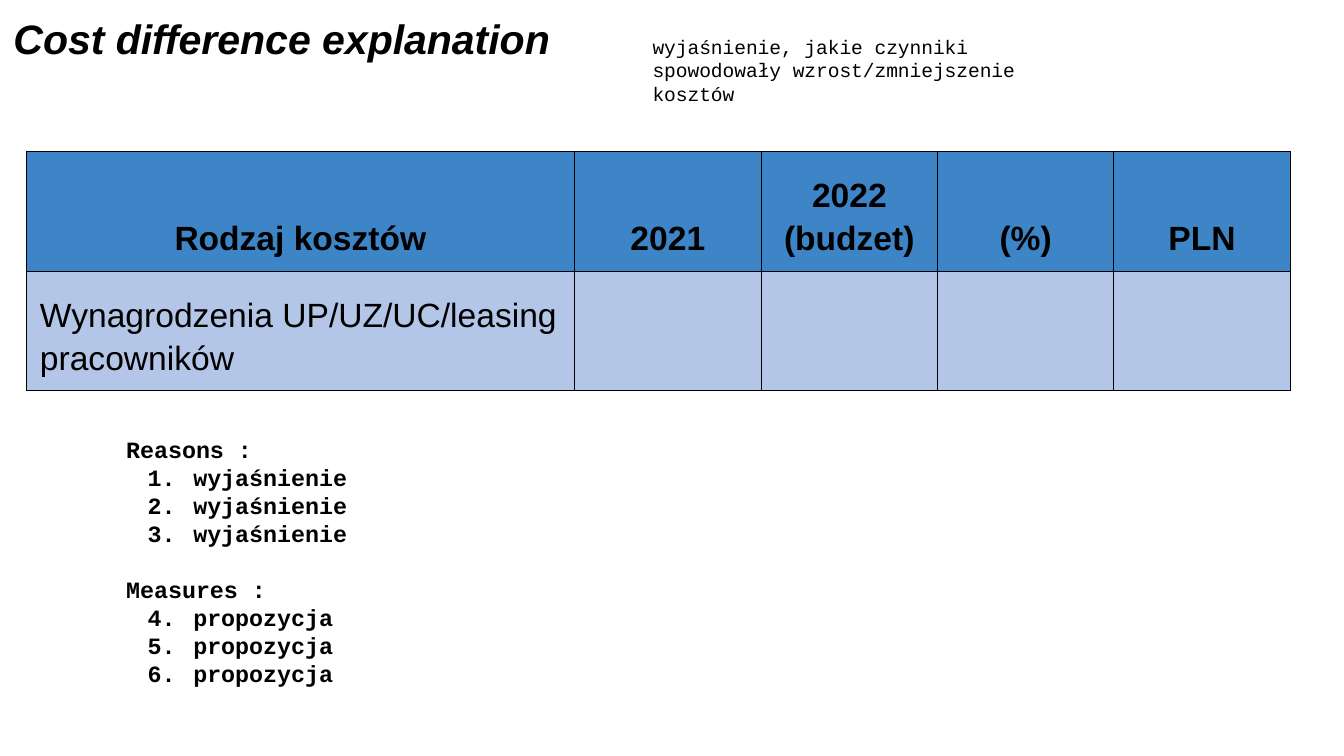
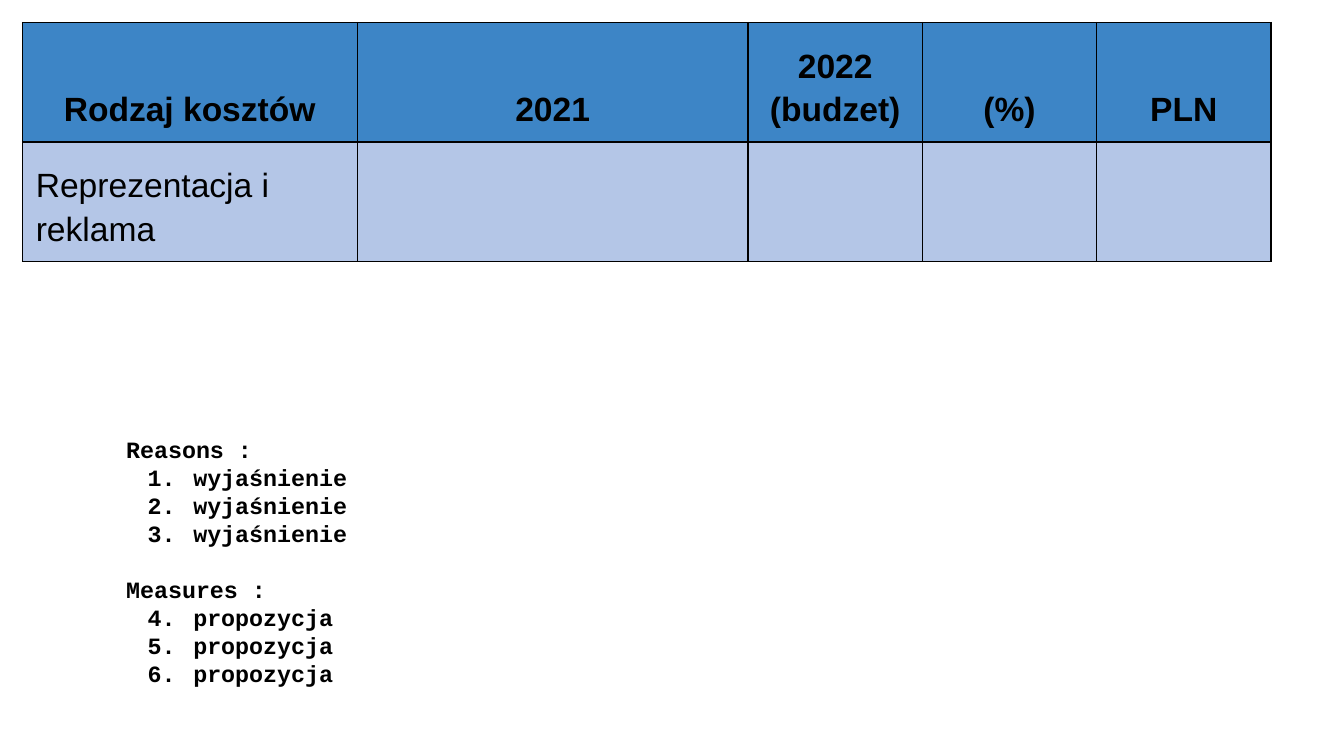
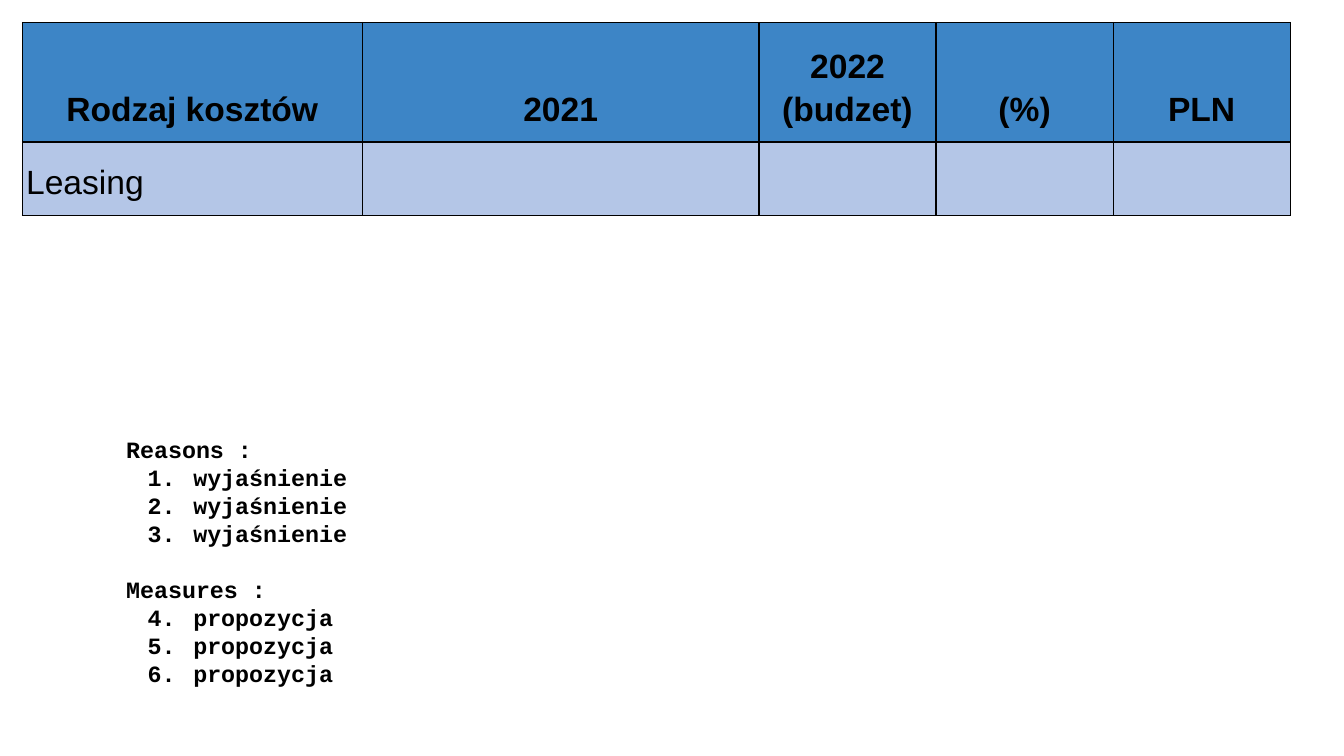
from dataclasses import dataclass

from lxml import etree
from pptx import Presentation
from pptx.dml.color import RGBColor
from pptx.enum import text as t
from pptx.oxml import ns
from pptx.util import Pt


@dataclass(frozen=True)
class Theme:
    ink: str = "000000"
    header_fill: str = "3D85C6"
    body_fill: str = "B4C6E7"
    sans: str = "Arial"
    mono: str = "Courier New"
    title_size: float = 22
    table_size: float = 18
    list_size: float = 12.5
    note_size: float = 10.5
    inset: float = 7.2
    narrow_inset: float = 2
    border: float = 0.75


THEME = Theme()
TITLE_ONLY, BLANK = 5, 6
HEADINGS = ["Rodzaj kosztów", "2021", "2022 (budzet)", "(%)", "PLN"]
HEADER_HEIGHT = 64


def write_text(paragraph, content, *, size, font=THEME.sans, color=THEME.ink,
               bold=False, italic=False, align=t.PP_ALIGN.LEFT,
               spacing=None, before=0):
    paragraph.alignment = align
    paragraph.space_before = Pt(before)
    if spacing:
        paragraph.line_spacing = spacing
    run = paragraph.add_run()
    run.text = content
    run.font.name, run.font.size = font, Pt(size)
    run.font.bold, run.font.italic = bold, italic
    run.font.color.rgb = RGBColor.from_string(color)


def add_xml(parent, tag, **attributes):
    return etree.SubElement(parent, ns.qn(tag), attributes)


def add_solid(parent, tag, color):
    add_xml(add_xml(parent, tag), "a:srgbClr", val=color)


def number_paragraph(paragraph, start):
    props = paragraph._p.get_or_add_pPr()
    props.set("marL", str(Pt(36)))
    props.set("indent", str(Pt(-24.5)))
    add_xml(add_xml(props, "a:buClr"), "a:srgbClr", val=THEME.ink)
    add_xml(props, "a:buAutoNum", type="arabicPeriod", startAt=str(start))


class Deck:
    def __init__(self, theme):
        self.theme = theme
        self.prs = Presentation()
        self.prs.slide_width, self.prs.slide_height = Pt(720), Pt(405)
        self.slide = None

    def new_slide(self, layout):
        self.slide = self.prs.slides.add_slide(self.prs.slide_layouts[layout])

    def fit_frame(self, shape):
        frame = shape.text_frame
        frame.word_wrap = True
        frame.auto_size = t.MSO_AUTO_SIZE.SHAPE_TO_FIT_TEXT
        frame.vertical_anchor = t.MSO_ANCHOR.TOP
        frame.margin_left = frame.margin_right = Pt(self.theme.inset)
        frame.margin_top = frame.margin_bottom = Pt(self.theme.inset)
        return frame

    def text_frame(self, left, top, width, height):
        return self.fit_frame(self.slide.shapes.add_textbox(
            Pt(left), Pt(top), Pt(width), Pt(height)))

    def title(self, content, left, top, width, height):
        heading = self.slide.shapes.title
        heading.left, heading.top = Pt(left), Pt(top)
        heading.width, heading.height = Pt(width), Pt(height)
        write_text(self.fit_frame(heading).paragraphs[0], content,
                   size=self.theme.title_size, bold=True, italic=True)

    def note(self, content, left, top, width, height):
        frame = self.text_frame(left, top, width, height)
        write_text(frame.paragraphs[0], content,
                   size=self.theme.note_size, font=self.theme.mono)

    def style_cell(self, cell, fill, side_inset):
        props = cell._tc.get_or_add_tcPr()
        for side in ("a:lnL", "a:lnR", "a:lnT", "a:lnB"):
            border = add_xml(props, side, w=str(Pt(self.theme.border)))
            add_solid(border, "a:solidFill", self.theme.ink)
        cell.fill.solid()
        cell.fill.fore_color.rgb = RGBColor.from_string(fill)
        cell.vertical_anchor = t.MSO_ANCHOR.BOTTOM
        cell.margin_left = cell.margin_right = Pt(side_inset)
        cell.margin_top = cell.margin_bottom = Pt(self.theme.inset)

    def cost_table(self, cost, left, top, widths, body_height, body_inset):
        heights = [HEADER_HEIGHT, body_height]
        table = self.slide.shapes.add_table(
            len(heights), len(widths), Pt(left), Pt(top),
            Pt(sum(widths)), Pt(sum(heights))).table
        table.first_row = table.horz_banding = False
        for row, height in zip(table.rows, heights):
            row.height = Pt(height)
        for index, width in enumerate(widths):
            table.columns[index].width = Pt(width)
            head, body = table.cell(0, index), table.cell(1, index)
            self.style_cell(head, self.theme.header_fill, self.theme.narrow_inset)
            self.style_cell(body, self.theme.body_fill, body_inset)
            write_text(head.text_frame.paragraphs[0], HEADINGS[index],
                       size=self.theme.table_size, bold=True,
                       align=t.PP_ALIGN.CENTER, spacing=1.15)
        write_text(table.cell(1, 0).text_frame.paragraphs[0], cost,
                   size=self.theme.table_size, spacing=1.15)

    def explanation(self):
        frame = self.text_frame(60.5, 226, 623.5, 166)
        style = dict(size=self.theme.list_size, font=self.theme.mono, bold=True)
        reasons = frame.paragraphs[0]
        sections = [("Reasons :", "wyjaśnienie", 1, 0),
                    ("Measures :", "propozycja", 4, 15)]
        for heading, entry, start, gap in sections:
            opening = reasons if start == 1 else frame.add_paragraph()
            write_text(opening, heading, before=gap, **style)
            for _ in range(3):
                item = frame.add_paragraph()
                write_text(item, entry, **style)
                number_paragraph(item, start)


def main():
    deck = Deck(THEME)

    # Salaries, with the title and its note
    deck.new_slide(TITLE_ONLY)
    deck.title("Cost difference explanation", 0, 0, 338, 41)
    deck.note("wyjaśnienie, jakie czynniki spowodowały wzrost/zmniejszenie kosztów",
              342.5, 11.5, 236, 52.5)
    deck.cost_table("Wynagrodzenia UP/UZ/UC/leasing pracowników", 14.2, 81.2,
                    [293.6, 100] + [94.5] * 3, 64, THEME.inset)
    deck.explanation()

    # Representation and leasing
    further_costs = [
        ("Reprezentacja i reklama", [179.4, 209.4] + [93.4] * 3, 64, THEME.inset),
        ("Leasing", [182.2, 212.4] + [94.9] * 3, 39, THEME.narrow_inset),
    ]
    for cost, widths, height, inset in further_costs:
        deck.new_slide(BLANK)
        deck.cost_table(cost, 12, 12, widths, height, inset)
        deck.explanation()

    deck.prs.save("out.pptx")


if __name__ == "__main__":
    main()
